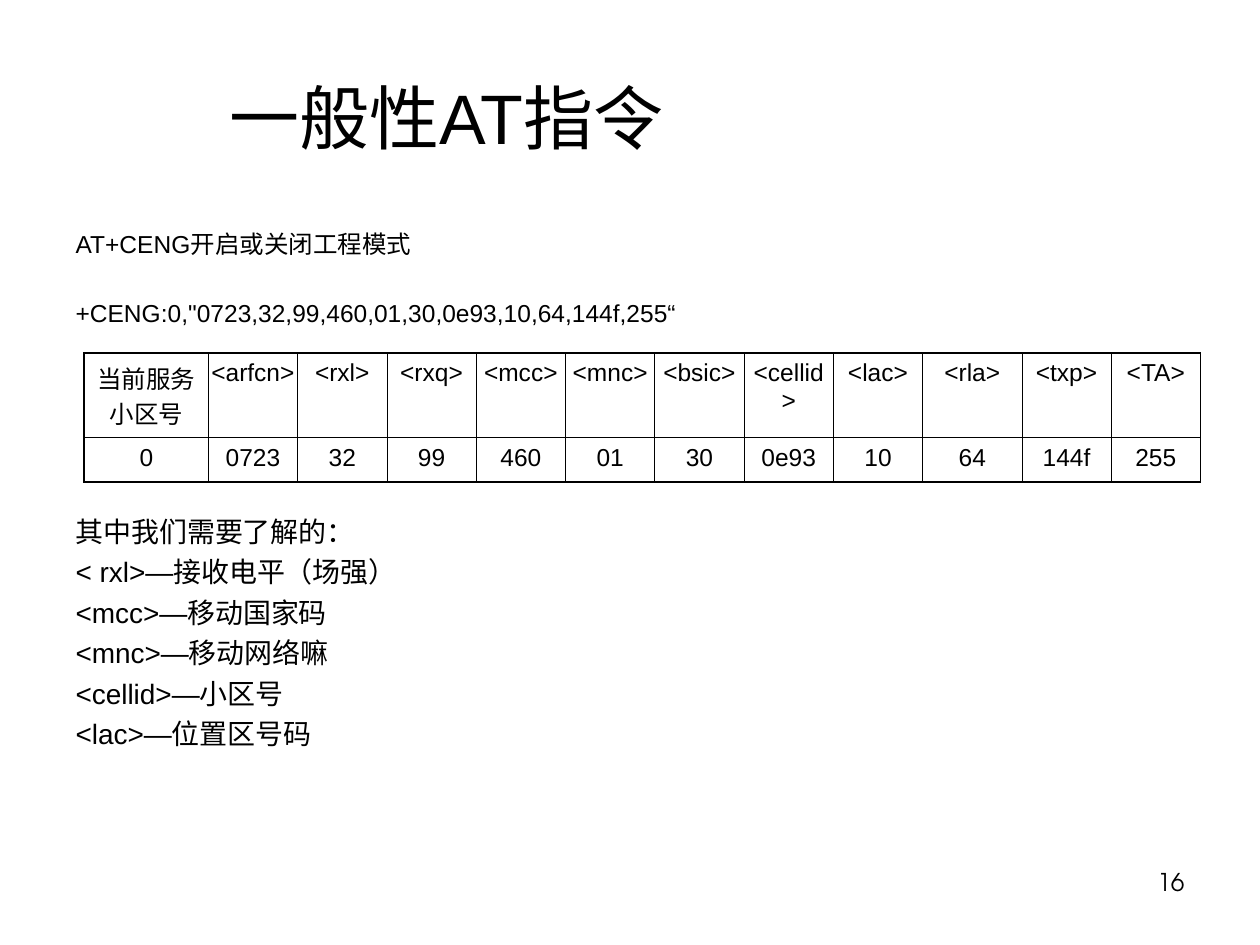
from pptx import Presentation
from pptx.dml.color import RGBColor
from pptx.enum.text import MSO_ANCHOR, MSO_AUTO_SIZE, PP_ALIGN
from pptx.oxml.ns import qn
from pptx.util import Cm, Pt
from lxml import etree

LEFT, CENTER, RIGHT = PP_ALIGN.LEFT, PP_ALIGN.CENTER, PP_ALIGN.RIGHT
TOP, MIDDLE = MSO_ANCHOR.TOP, MSO_ANCHOR.MIDDLE
NO_FIT = MSO_AUTO_SIZE.NONE
INK = "000000"
BODY_FONT, NUMBER_FONT = "Arial", "TeX Gyre Adventor"

# Content
TITLE = "一般性AT指令"
COMMAND = "AT+CENG开启或关闭工程模式"
RESPONSE = '+CENG:0,"0723,32,99,460,01,30,0e93,10,64,144f,255“'
NOTES_HEADING = "其中我们需要了解的："
NOTES = [
    "< rxl>—接收电平（场强）",
    "<mcc>—移动国家码",
    "<mnc>—移动网络嘛",
    "<cellid>—小区号",
    "<lac>—位置区号码",
]
FIELDS = [
    ("当前服务小区号", "0"), ("<arfcn>", "0723"), ("<rxl>", "32"),
    ("<rxq>", "99"), ("<mcc>", "460"), ("<mnc>", "01"),
    ("<bsic>", "30"), ("<cellid>", "0e93"), ("<lac>", "10"),
    ("<rla>", "64"), ("<txp>", "144f"), ("<TA>", "255"),
]
PAGE_NUMBER = "16"

# Measures in centimetres, border widths in points
COLUMN_WIDTH = 1.8
WIDE_COLUMNS = {0: 2.5, 9: 2}
ROW_HEIGHTS = [1.7, 0.89]
OUTER_LINE, INNER_LINE = 1.08, 0.45

# Text, size, line height and space before, in points
BODY_LINES = [
    (COMMAND, 14, 17.8, 0),
    (RESPONSE, 14, 17, 22.6),
    (NOTES_HEADING, 16, 19.2, 106.6),
] + [(note, 16, 19.2, 4) for note in NOTES]


def color(value):
    return RGBColor.from_string(value)


def set_all(target, values):
    for name, value in values.items():
        setattr(target, name, value)


def place(shape, left, top, width, height):
    set_all(shape, {"left": Cm(left), "top": Cm(top),
                    "width": Cm(width), "height": Cm(height)})


def write(paragraph, text, size, align, font=BODY_FONT):
    paragraph.alignment = align
    span = paragraph.add_run()
    span.text = text
    set_all(span.font, {"name": font, "size": Pt(size), "bold": False})
    span.font.color.rgb = color(INK)


def set_indent(paragraph, margin, first=0):
    properties = paragraph._p.get_or_add_pPr()
    properties.set("marL", str(Cm(margin)))
    properties.set("indent", str(Cm(first)))
    return properties


def set_borders(cell, widths):
    properties = cell._tc.get_or_add_tcPr()
    for index, (side, width) in enumerate(widths.items()):
        line = etree.Element(qn("a:ln" + side), w=str(Pt(width)))
        fill = etree.SubElement(line, qn("a:solidFill"))
        etree.SubElement(fill, qn("a:srgbClr"), val=INK)
        properties.insert(index, line)


deck = Presentation()
set_all(deck, {"slide_width": Cm(25.4), "slide_height": Cm(19.05)})
page = deck.slides.add_slide(deck.slide_layouts[1])

# Title
title = page.shapes.title
place(title, 1.27, 0.76, 22.86, 3.18)
set_all(title.text_frame, {"auto_size": NO_FIT, "vertical_anchor": MIDDLE})
heading = title.text_frame.paragraphs[0]
set_indent(heading, 3.1)
write(heading, TITLE, 40, LEFT)

# Body lines, with room for the table left by paragraph spacing
body = page.placeholders[1]
place(body, 1.27, 4.45, 23.62, 12.57)
set_all(body.text_frame, {"auto_size": NO_FIT, "vertical_anchor": TOP})
for index, (text, size, height, before) in enumerate(BODY_LINES):
    frame = body.text_frame
    paragraph = frame.add_paragraph() if index else frame.paragraphs[0]
    properties = set_indent(paragraph, 0.95, -0.95)
    etree.SubElement(properties, qn("a:buNone"))
    set_all(paragraph, {"line_spacing": Pt(height), "space_before": Pt(before)})
    write(paragraph, text, size, LEFT)

# Table of response fields
widths = [WIDE_COLUMNS.get(index, COLUMN_WIDTH) for index in range(len(FIELDS))]
table = page.shapes.add_table(
    len(ROW_HEIGHTS), len(FIELDS), Cm(1.7), Cm(7.12),
    Cm(sum(widths)), Cm(sum(ROW_HEIGHTS))).table
set_all(table, {"first_row": False, "horz_banding": False})
for row, height in zip(table.rows, ROW_HEIGHTS):
    row.height = Cm(height)
last_column, last_row = len(FIELDS) - 1, len(ROW_HEIGHTS) - 1
for column, field in enumerate(FIELDS):
    table.columns[column].width = Cm(widths[column])
    for row, text in enumerate(field):
        cell = table.cell(row, column)
        set_all(cell, {"margin_left": Cm(0.05), "margin_right": Cm(0.05),
                       "margin_top": Cm(0.13), "margin_bottom": Cm(0.13),
                       "vertical_anchor": TOP})
        cell.fill.background()
        edges = {"L": column == 0, "R": column == last_column,
                 "T": row == 0, "B": row == last_row}
        set_borders(cell, {side: OUTER_LINE if outer else INNER_LINE
                           for side, outer in edges.items()})
        write(cell.text_frame.paragraphs[0], text, 14, CENTER)

# Page number
number = page.shapes.add_textbox(Cm(18.21), Cm(17.35), Cm(5.92), Cm(1.32))
number.text_frame.word_wrap = True
write(number.text_frame.paragraphs[0], PAGE_NUMBER, 14, RIGHT, NUMBER_FONT)

deck.save("out.pptx")
